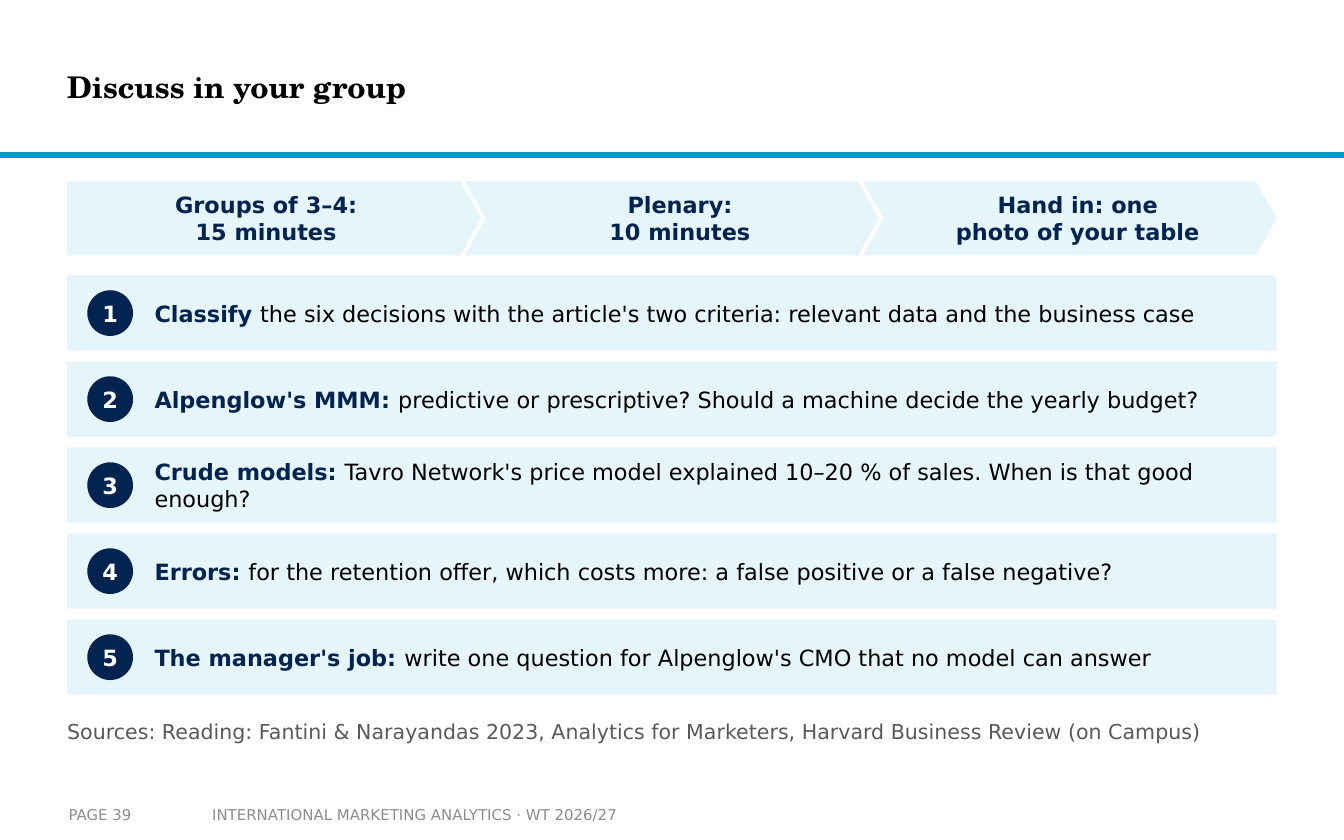
import pptx
import pptx.dml.color
import pptx.enum.shapes
import pptx.enum.text
import pptx.util
from pptx.util import Inches

SHAPES = pptx.enum.shapes.MSO_SHAPE
ALIGN = pptx.enum.text.PP_ALIGN

COLORS = {
    "rule": "0C94B7",
    "rule_line": "0096D3",
    "panel": "E5F5FA",
    "navy": "002350",
    "white": "FFFFFF",
    "black": "000000",
    "source": "595959",
    "footer": "8C8C8C",
}
BODY_FONT = "DejaVu Sans"
TITLE_FONT = "TeX Gyre Schola"

LEFT, WIDTH = 0.5, 9
STEP_WIDTH, STEP_PITCH = 3.08, 2.96
ROW_TOP, ROW_HEIGHT, ROW_PITCH = 2.05, 0.56, 0.64
BADGE = 0.34

STEPS = [
    "Groups of 3–4:\v15 minutes",
    "Plenary:\v10 minutes",
    "Hand in: one\vphoto of your table",
]
QUESTIONS = [
    ("Classify ", "the six decisions with the article's two criteria: relevant data and the business case"),
    ("Alpenglow's MMM: ", "predictive or prescriptive? Should a machine decide the yearly budget?"),
    ("Crude models: ", "Tavro Network's price model explained 10–20 % of sales. When is that good enough?"),
    ("Errors: ", "for the retention offer, which costs more: a false positive or a false negative?"),
    ("The manager's job: ", "write one question for Alpenglow's CMO that no model can answer"),
]


def rgb(name):
    return pptx.dml.color.RGBColor.from_string(COLORS[name])


def format_run(run, size, color, bold, font_name=BODY_FONT):
    run.font.size = pptx.util.Pt(size)
    run.font.name = font_name
    run.font.bold = bold
    run.font.color.rgb = rgb(color)


def write_text(shape, text, size, color, bold=False, font_name=BODY_FONT,
               align=ALIGN.LEFT, margins=(0, 0, 0, 0)):
    """Fill a shape with one vertically centred paragraph and return it."""
    frame = shape.text_frame
    frame.word_wrap = True
    frame.vertical_anchor = pptx.enum.text.MSO_ANCHOR.MIDDLE
    (frame.margin_left, frame.margin_top,
     frame.margin_right, frame.margin_bottom) = map(Inches, margins)
    paragraph = frame.paragraphs[0]
    paragraph.text = text
    paragraph.alignment = align
    for run in paragraph.runs:
        format_run(run, size, color, bold, font_name)
    return paragraph


def add_panel(slide, kind, box, fill):
    shape = slide.shapes.add_shape(kind, *map(Inches, box))
    shape.shadow.inherit = False
    shape.fill.solid()
    shape.fill.fore_color.rgb = rgb(fill)
    shape.line.fill.background()
    return shape


def add_text(slide, box, text, size, color, **options):
    text_box = slide.shapes.add_textbox(*map(Inches, box))
    return write_text(text_box, text, size, color, **options)


def add_step(slide, index, text):
    kind = SHAPES.CHEVRON if index else SHAPES.PENTAGON
    box = (LEFT + index * STEP_PITCH, 1.35, STEP_WIDTH, 0.55)
    step = add_panel(slide, kind, box, "panel")
    step.adjustments[0] = 0.28
    left_margin = 0.26 if index else 0.1
    write_text(step, text, 12, "navy", bold=True, align=ALIGN.CENTER,
               margins=(left_margin, 0.02, 0.14, 0.02))


def add_question(slide, index, lead, question):
    top = ROW_TOP + index * ROW_PITCH
    add_panel(slide, SHAPES.RECTANGLE, (LEFT, top, WIDTH, ROW_HEIGHT), "panel")
    badge_top = top + (ROW_HEIGHT - BADGE) / 2
    badge = add_panel(slide, SHAPES.OVAL, (LEFT + 0.15, badge_top, BADGE, BADGE), "navy")
    write_text(badge, str(index + 1), 12, "white", bold=True, align=ALIGN.CENTER)
    paragraph = add_text(slide, (1.15, top, 8.2, ROW_HEIGHT), lead, 12, "navy", bold=True)
    paragraph.space_after = pptx.util.Pt(4)
    run = paragraph.add_run()
    run.text = question
    format_run(run, 12, "black", False)


def add_header(slide):
    rule = add_panel(slide, SHAPES.RECTANGLE, (0, 1.14, 10, 0.03), "rule")
    rule.line.color.rgb = rgb("rule_line")
    rule.line.width = pptx.util.Pt(1)
    add_text(slide, (0.5, 0.15, 7.48, 0.99), "Discuss in your group", 16, "black",
             bold=True, font_name=TITLE_FONT)


def add_footer(slide):
    add_text(slide, (1.48, 5.92, 3.52, 0.28),
             "INTERNATIONAL MARKETING ANALYTICS · WT 2026/27", 8, "footer",
             margins=(0.1, 0.05, 0.1, 0.05))
    add_text(slide, (0.51, 5.92, 0.98, 0.28), "PAGE 39", 8, "footer",
             margins=(0, 0.05, 0, 0.05))


def main():
    presentation = pptx.Presentation()
    presentation.slide_width = Inches(10)
    presentation.slide_height = Inches(6.25)
    slide = presentation.slides.add_slide(presentation.slide_layouts[6])

    add_header(slide)
    add_footer(slide)
    for index, text in enumerate(STEPS):
        add_step(slide, index, text)
    for index, (lead, question) in enumerate(QUESTIONS):
        add_question(slide, index, lead, question)
    sources = add_text(
        slide, (LEFT, 5.3, WIDTH, 0.28),
        "Sources: Reading: Fantini & Narayandas 2023, Analytics for Marketers, "
        "Harvard Business Review (on Campus)", 11, "source")
    sources.space_after = pptx.util.Pt(4)

    presentation.save("out.pptx")


if __name__ == "__main__":
    main()
